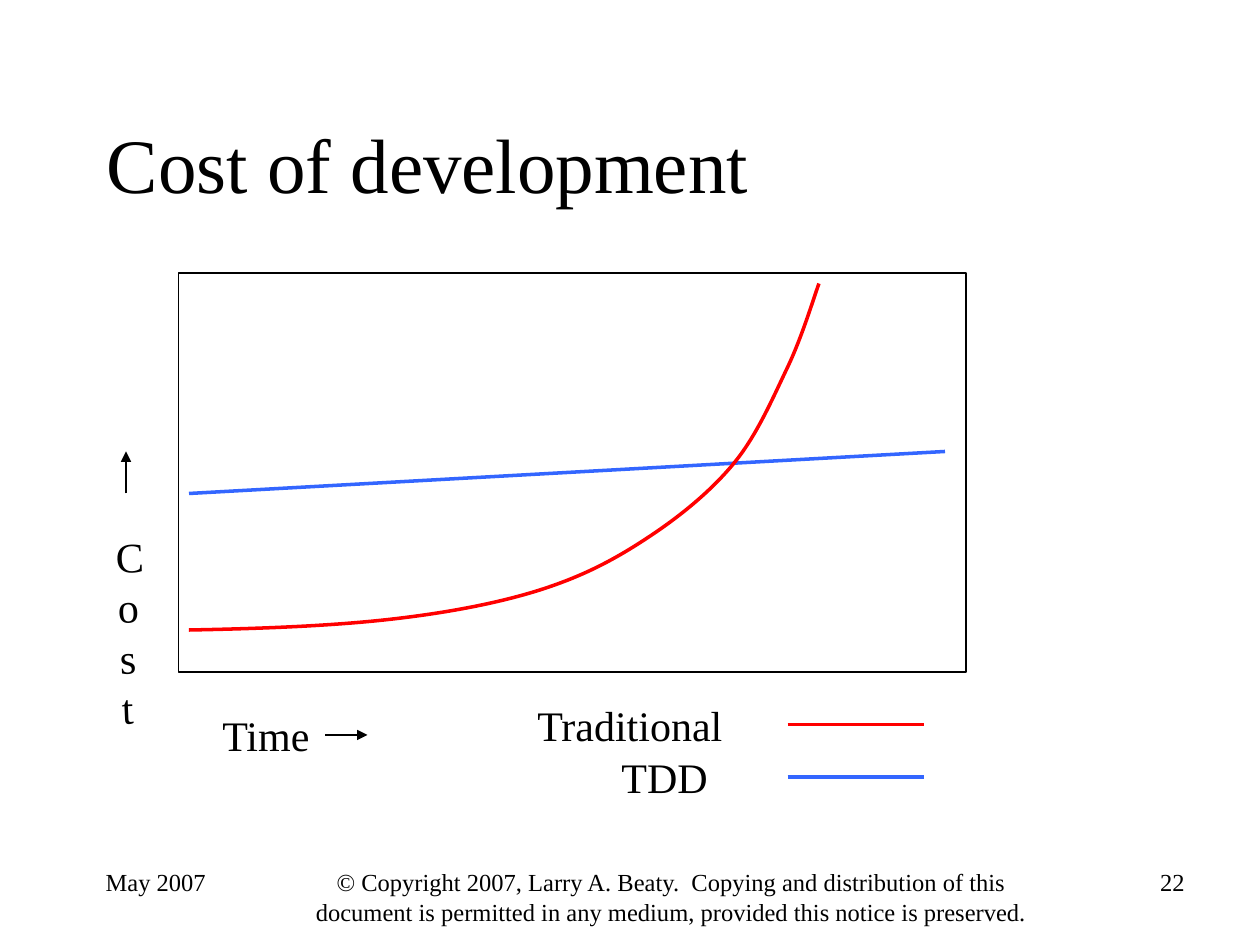
from lxml import etree
from pptx import Presentation
from pptx.dml.color import RGBColor
from pptx.enum.shapes import MSO_CONNECTOR, MSO_SHAPE
from pptx.enum.text import MSO_ANCHOR, PP_ALIGN
from pptx.oxml.ns import qn
from pptx.util import Pt

STRAIGHT = MSO_CONNECTOR.STRAIGHT
RECTANGLE = MSO_SHAPE.RECTANGLE
TOP, MIDDLE = MSO_ANCHOR.TOP, MSO_ANCHOR.MIDDLE
LEFT, CENTER, RIGHT = PP_ALIGN.LEFT, PP_ALIGN.CENTER, PP_ALIGN.RIGHT

PX = 9525  # EMU in one px, 96 px to the inch
FONT = "Times New Roman"
COLORS = {"black": "000000", "traditional": "FF0000", "tdd": "3366FF"}
FOOTER = {"size": 14, "indent": 23}

COST_POINTS = [(144, 480), (296, 472), (416, 448), (496, 408),
               (560, 352), (600, 280), (624, 216)]
# Points beyond both ends, which set the slope of the curve there
BEFORE_START, AFTER_END = (-28, 478), (624, 216)


def px(length):
    return round(length * PX)


def color(name):
    return RGBColor.from_string(COLORS[name])


def style_line(line, name, width):
    line.color.rgb = color(name)
    line.width = Pt(width)


def add_text(slide, text, box, size=24, align=LEFT, anchor=TOP, indent=0, rotation=0):
    shape = slide.shapes.add_textbox(*map(px, box))
    shape.rotation = rotation
    frame = shape.text_frame
    frame.word_wrap = True
    frame.vertical_anchor = anchor
    paragraph = frame.paragraphs[0]
    paragraph.alignment = align
    if indent:
        paragraph._p.get_or_add_pPr().set("marL", str(px(indent)))
    run = paragraph.add_run()
    run.text = text
    run.font.name = FONT
    run.font.size = Pt(size)
    run.font.color.rgb = color("black")


def add_line(slide, start, end, name="black", width=0.75, arrow=False):
    connector = slide.shapes.add_connector(STRAIGHT, *map(px, start + end))
    style_line(connector.line, name, width)
    properties = connector._element.spPr
    if arrow:
        outline = properties.find(qn("a:ln"))
        etree.SubElement(outline, qn("a:tailEnd"), type="triangle")
    etree.SubElement(properties, qn("a:effectLst"))


def add_frame(slide, box):
    shape = slide.shapes.add_shape(RECTANGLE, *map(px, box))
    shape.shadow.inherit = False
    shape.fill.background()
    style_line(shape.line, "black", 0.75)


def add_curve(slide, points, before, after, name, width):
    """Draw a smooth curve through points; each slope follows the neighbours."""
    builder = slide.shapes.build_freeform(*points[0], scale=PX)
    builder.add_line_segments(points[1:], close=False)
    shape = builder.convert_to_shape()
    shape.shadow.inherit = False
    shape.fill.background()
    style_line(shape.line, name, width)

    # Turn each straight segment into a cubic one, in the px units of the path
    left = min(x for x, y in points)
    top = min(y for x, y in points)
    chain = [before, *points, after]
    segments = list(shape._element.iter(qn("a:lnTo")))
    for segment, p0, p1, p2, p3 in zip(segments, chain, chain[1:], chain[2:], chain[3:]):
        first = [b + (c - a) / 6 for a, b, c in zip(p0, p1, p2)]
        second = [c - (d - b) / 6 for b, c, d in zip(p1, p2, p3)]
        cubic = etree.Element(qn("a:cubicBezTo"))
        for x, y in (first, second, p2):
            etree.SubElement(cubic, qn("a:pt"), x=str(round(x - left)), y=str(round(y - top)))
        segment.getparent().replace(segment, cubic)


def main():
    presentation = Presentation()
    presentation.slide_width, presentation.slide_height = px(960), px(720)
    slide = presentation.slides.add_slide(presentation.slide_layouts[6])

    # Title and plot frame
    add_text(slide, "Cost of development", (72, 64, 816, 120), size=44, anchor=MIDDLE)
    add_frame(slide, (136, 208, 600, 304))

    # Axis labels with arrows
    add_text(slide, "Time", (160, 536, 209, 48))
    add_text(slide, "Cost", (81, 400, 32, 163), rotation=357.7)
    add_line(slide, (96, 376), (96, 344), arrow=True)
    add_line(slide, (248, 560), (280, 560), arrow=True)

    # Cost curves
    add_line(slide, (144, 376), (720, 344), "tdd", 2)
    add_curve(slide, COST_POINTS, BEFORE_START, AFTER_END, "traditional", 2)

    # Legend
    legend = [("Traditional", 400, 528, "traditional"), ("TDD", 464, 568, "tdd")]
    for label, left, top, name in legend:
        add_text(slide, label, (left, top, 592 - left, 48))
        add_line(slide, (600, top + 24), (704, top + 24), name, 2)

    # Footer
    add_text(slide, "© Copyright 2007, Larry A. Beaty.  Copying and distribution of this "
             "document is permitted in any medium, provided this notice is preserved.",
             (192, 656, 616, 64), align=CENTER, **FOOTER)
    add_text(slide, "22", (688, 656, 224, 50), align=RIGHT, **FOOTER)
    add_text(slide, "May 2007", (48, 656, 224, 50), **FOOTER)

    presentation.save("out.pptx")


if __name__ == "__main__":
    main()
